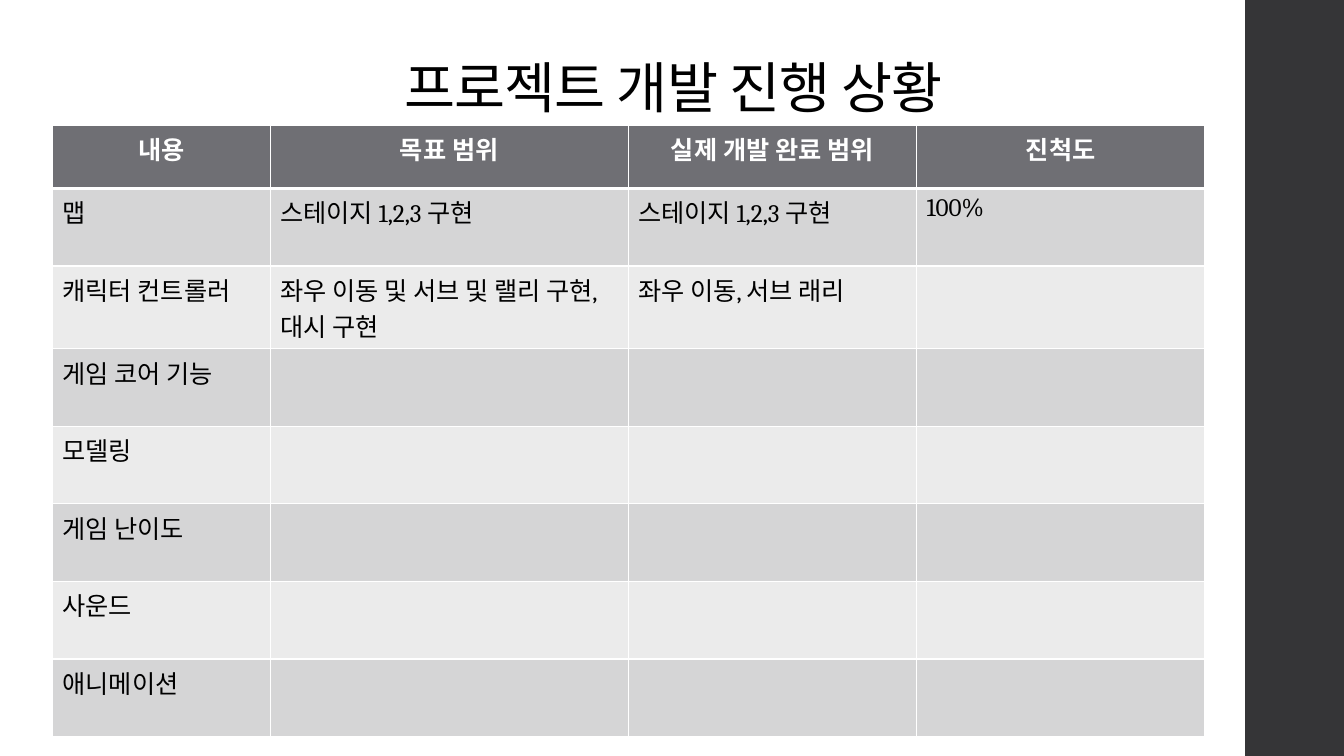
from lxml import etree
from pptx import Presentation
from pptx.dml.color import RGBColor
from pptx.enum.shapes import MSO_SHAPE
from pptx.enum.text import MSO_ANCHOR, PP_ALIGN
from pptx.oxml.ns import qn
from pptx.util import Inches, Pt

RECTANGLE = MSO_SHAPE.RECTANGLE
BOTTOM = MSO_ANCHOR.BOTTOM
CENTER, LEFT = PP_ALIGN.CENTER, PP_ALIGN.LEFT

FONT = "Cambria"
BLACK, WHITE = "000000", "FFFFFF"
SIDEBAR_FILL, HEADER_FILL = "353537", "6F6F74"
BAND_FILLS = ("EBEBEB", "D5D5D6")

TITLE = "프로젝트 개발 진행 상황"
HEADER = ("내용", "목표 범위", "실제 개발 완료 범위", "진척도")
PROGRESS = [
    ("맵", "스테이지 1,2,3 구현", "스테이지 1,2,3 구현", "100%"),
    ("캐릭터 컨트롤러", "좌우 이동 및 서브 및 랠리 구현, 대시 구현", "좌우 이동, 서브 래리", ""),
    ("게임 코어 기능", "", "", ""),
    ("모델링", "", "", ""),
    ("게임 난이도", "", "", ""),
    ("사운드", "", "", ""),
    ("애니메이션", "", "", ""),
]
COLUMN_WIDTHS = (2.16, 3.55, 2.86, 2.86)
ROW_HEIGHTS = (0.63, 0.77, 0.82) + (0.77,) * 5


def color(hex_code):
    return RGBColor.from_string(hex_code)


def write(frame, text, size, hex_code, bold, align):
    frame.text = text
    paragraph = frame.paragraphs[0]
    paragraph.alignment = align
    for font in [paragraph.font] + [run.font for run in paragraph.runs]:
        font.name, font.size, font.bold = FONT, Pt(size), bold
        font.color.rgb = color(hex_code)
    return paragraph


def set_borders(cell, top, bottom):
    """Draw white cell borders; top and bottom are widths in points."""
    properties = cell._tc.get_or_add_tcPr()
    for side, width in (("L", 1), ("R", 1), ("T", top), ("B", bottom)):
        line = etree.SubElement(properties, qn(f"a:ln{side}"), w=str(Pt(width)))
        fill = etree.SubElement(line, qn("a:solidFill"))
        etree.SubElement(fill, qn("a:srgbClr"), val=WHITE)


def add_sidebar(slide):
    sidebar = slide.shapes.add_shape(
        RECTANGLE, Inches(12.35), 0, Inches(1), Inches(7.5))
    sidebar.shadow.inherit = False
    sidebar.fill.solid()
    sidebar.fill.fore_color.rgb = color(SIDEBAR_FILL)
    sidebar.line.fill.background()


def add_title(slide):
    frame = slide.shapes.add_textbox(
        Inches(1.38), Inches(0.52), Inches(10.6), Inches(0.72)).text_frame
    frame.word_wrap = True
    frame.vertical_anchor = BOTTOM
    paragraph = write(frame, TITLE, 39.6, BLACK, False, CENTER)
    paragraph.line_spacing = 0.9
    paragraph.runs[0]._r.get_or_add_rPr().set("spc", "-50")


def add_progress_table(slide):
    rows = [HEADER] + PROGRESS
    table = slide.shapes.add_table(
        len(rows), len(HEADER), Inches(0.52), Inches(1.24),
        Inches(sum(COLUMN_WIDTHS)), Inches(sum(ROW_HEIGHTS))).table
    for column, width in zip(table.columns, COLUMN_WIDTHS):
        column.width = Inches(width)
    for row, height in zip(table.rows, ROW_HEIGHTS):
        row.height = Inches(height)
    for r, texts in enumerate(rows):
        is_header = r == 0
        for c, text in enumerate(texts):
            cell = table.cell(r, c)
            set_borders(cell, 3 if r == 1 else 1, 3 if is_header else 1)
            cell.fill.solid()
            cell.fill.fore_color.rgb = color(
                HEADER_FILL if is_header else BAND_FILLS[r % 2])
            write(cell.text_frame, text, 18, WHITE if is_header else BLACK,
                  is_header, CENTER if is_header else LEFT)


def main():
    deck = Presentation()
    deck.slide_width, deck.slide_height = Inches(13.33), Inches(7.5)
    slide = deck.slides.add_slide(deck.slide_layouts[6])
    add_sidebar(slide)
    add_title(slide)
    add_progress_table(slide)
    deck.save("out.pptx")


if __name__ == "__main__":
    main()
